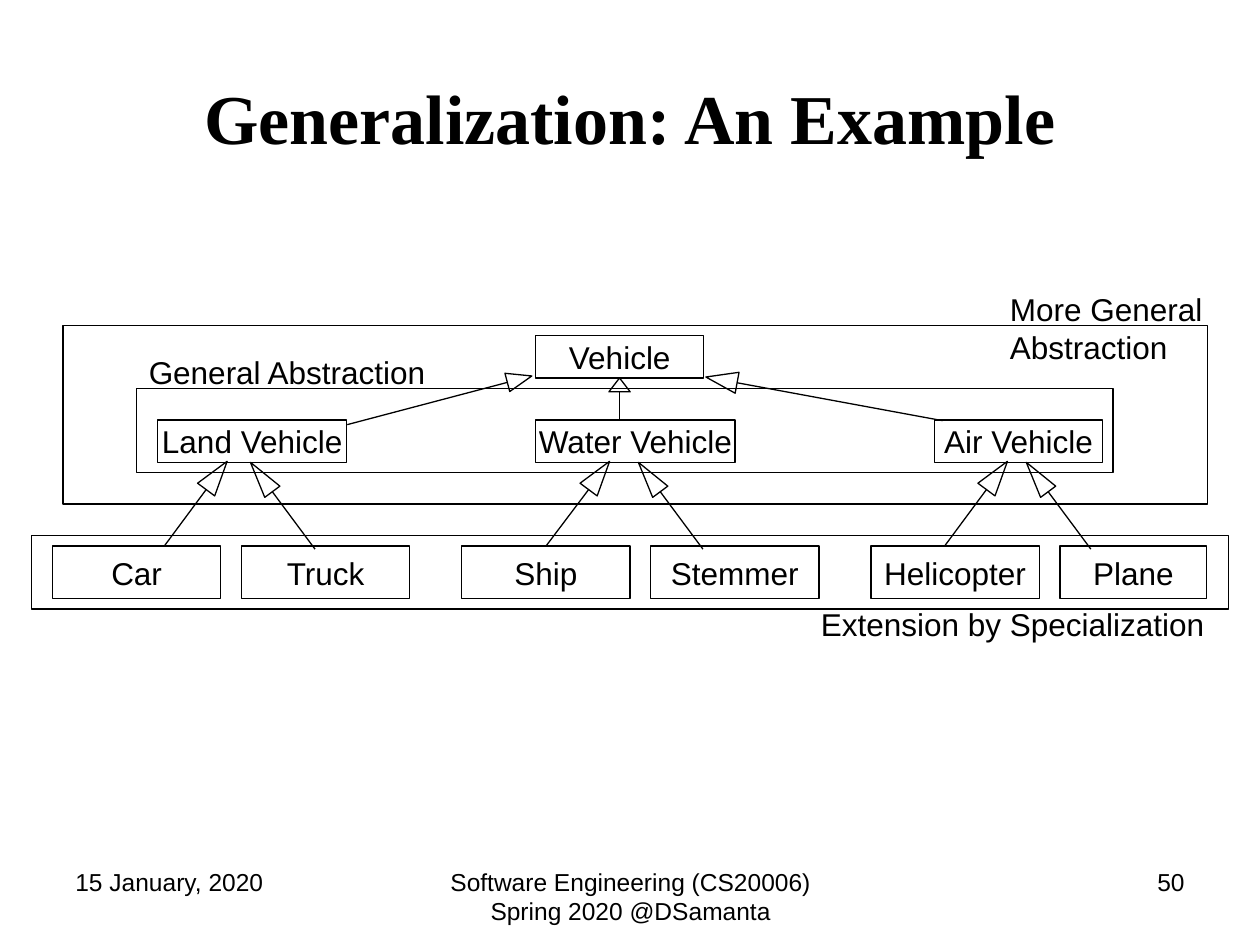
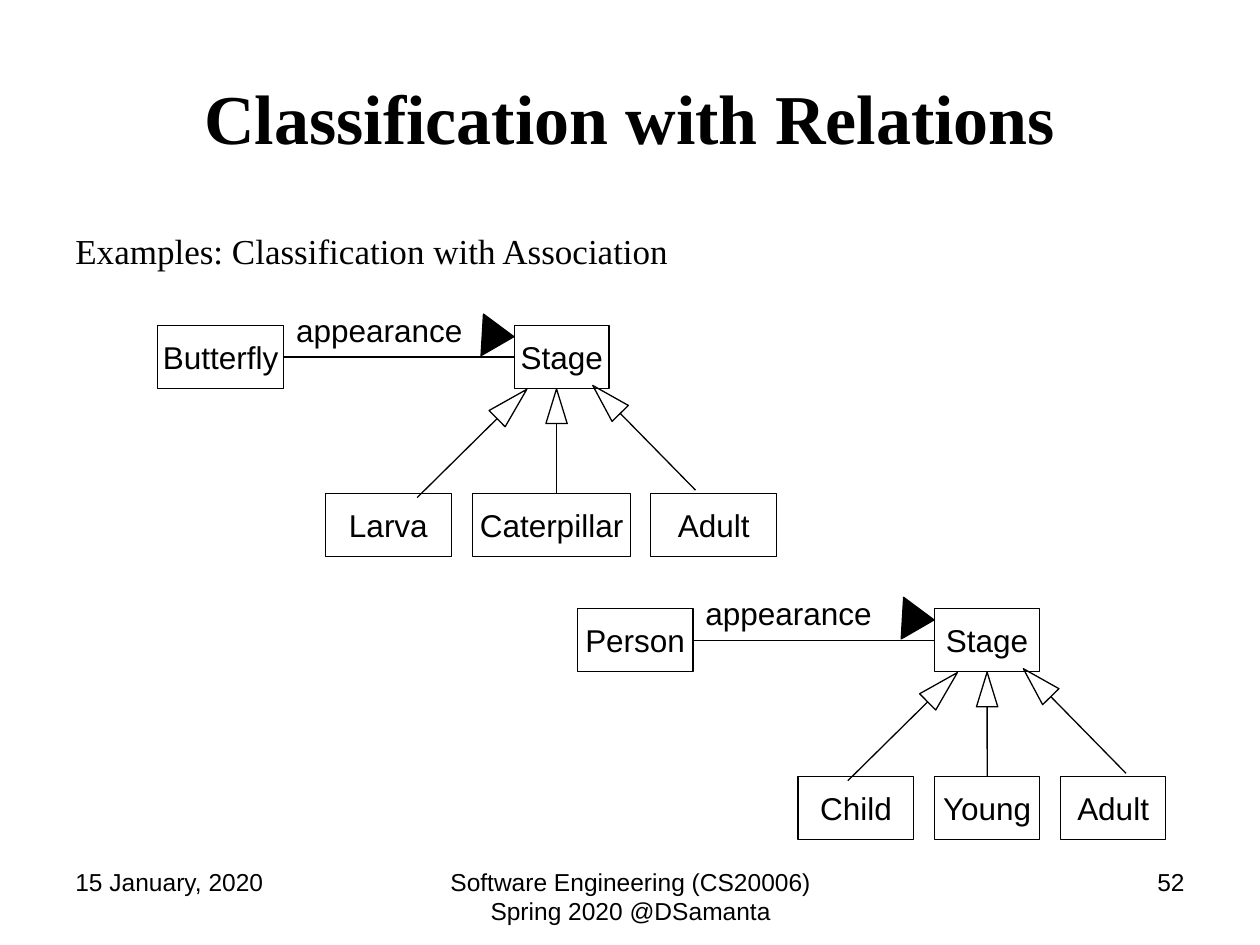
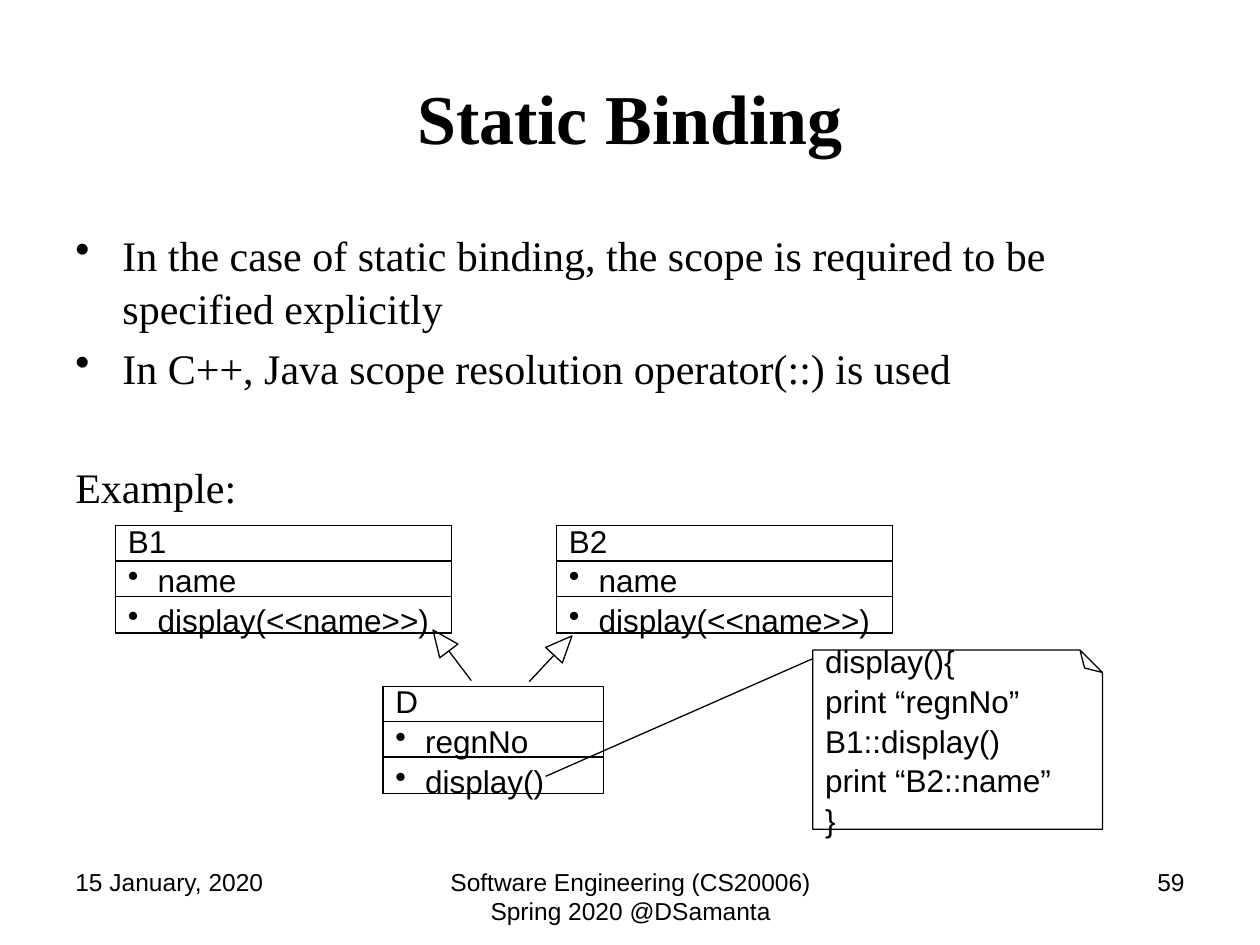
"""Build three lecture slides on class hierarchies and static binding."""
from dataclasses import dataclass
from math import atan2, cos, degrees, sin

from lxml.etree import SubElement
from pptx import Presentation
from pptx.dml.color import RGBColor as Rgb
from pptx.enum.shapes import MSO_CONNECTOR as Link, MSO_SHAPE as Kind
from pptx.enum.text import MSO_ANCHOR as Anchor, PP_ALIGN as Align
from pptx.oxml.ns import qn
from pptx.util import Cm, Pt


@dataclass(frozen=True)
class Theme:
    ink: Rgb = Rgb(0, 0, 0)
    stroke: Pt = Pt(0.75)
    title: tuple = ("Times New Roman", 40)
    lead: tuple = ("Times New Roman", 20)
    body: tuple = ("Times New Roman", 24)
    label: tuple = ("Arial", 18)
    footer: tuple = ("Arial", 14)


theme = Theme()


def add_block(page, place, lines=(), kind=None, face=theme.label, bold=False,
              indent=0.6, wrap=False, anchor=Anchor.MIDDLE, **formats):
    area = [Cm(length) for length in place]
    if kind is None:
        block = page.shapes.add_textbox(*area)
    else:
        block = page.shapes.add_shape(kind, *area)
        block.shadow.inherit = False
        block.fill.background()
        block.line.color.rgb = theme.ink
        block.line.width = theme.stroke
    frame = block.text_frame
    frame.word_wrap, frame.vertical_anchor = wrap, anchor
    for index, line in enumerate(lines):
        para = frame.add_paragraph() if index else frame.paragraphs[0]
        if line.startswith("•"):
            properties = para._p.get_or_add_pPr()
            properties.set("marL", str(Cm(indent)))
            properties.set("indent", str(-Cm(indent)))
            SubElement(properties, qn("a:buChar")).set("char", "•")
        for name, value in formats.items():
            setattr(para, name, value)
        span = para.add_run()
        span.text = line.removeprefix("• ")
        font_values = {"name": face[0], "size": Pt(face[1]), "bold": bold}
        for name, value in font_values.items():
            setattr(span.font, name, value)
        span.font.color.rgb = theme.ink
    return block


def add_line(page, start, end, head=None, child=None):
    (x, y), (tip_x, tip_y) = start, end
    if head:
        width, height = head
        angle = atan2(tip_x - x, y - tip_y)
        step_x, step_y = height * sin(angle), -height * cos(angle)
        place = (tip_x - step_x / 2 - width / 2, tip_y - step_y / 2 - height / 2, width, height)
        triangle = add_block(page, place, kind=Kind.FLOWCHART_EXTRACT)
        triangle.rotation = degrees(angle) % 360
        tip_x, tip_y = tip_x - step_x, tip_y - step_y
    line = page.shapes.add_connector(Link.STRAIGHT, Cm(x), Cm(y), Cm(tip_x), Cm(tip_y))
    line.line.color.rgb = theme.ink
    line.line.width = theme.stroke
    SubElement(line.element.spPr, qn("a:effectLst"))
    if child is not None:
        line.begin_connect(child, 0)
    return line


deck = Presentation()
deck.slide_width, deck.slide_height = Cm(25.4), Cm(19.05)

pages = []
for title, number in (
    ("Generalization: An Example", "50"),
    ("Classification with Relations", "52"),
    ("Static Binding", "59"),
):
    page = deck.slides.add_slide(deck.slide_layouts[6])
    add_block(page, (1.27, 0.76, 22.86, 3.18), [title], face=theme.title, bold=True,
              wrap=True, alignment=Align.CENTER)
    for left, width, text, side in (
        (1.27, 5.92, "15 January, 2020", Align.LEFT),
        (8.69, 8.05, "Software Engineering (CS20006) Spring 2020 @DSamanta", Align.CENTER),
        (18.21, 5.92, number, Align.RIGHT),
    ):
        add_block(page, (left, 17.35, width, 1.32), [text], face=theme.footer,
                  wrap=True, anchor=Anchor.TOP, alignment=side)
    pages.append(page)
vehicle_page, relation_page, binding_page = pages

vehicles = {
    "Vehicle": (10.8, 6.77, 3.39, 0.85),
    "Land Vehicle": (3.18, 8.47, 3.81, 0.85),
    "Water Vehicle": (10.8, 8.47, 4.02, 0.85),
    "Air Vehicle": (18.84, 8.47, 3.39, 0.85),
}
extensions = (("Car", "Truck"), ("Ship", "Stemmer"), ("Helicopter", "Plane"))
for column, pair in enumerate(extensions):
    for side, name in enumerate(pair):
        width = 2.96 if name == "Plane" else 3.39
        vehicles[name] = (1.06 + 8.25 * column + 3.81 * side, 11.01, width, 1.06)
vehicle_boxes = {
    name: add_block(vehicle_page, place, [name], Kind.RECTANGLE, alignment=Align.CENTER)
    for name, place in vehicles.items()
}
for frame_place in (
    (1.27, 6.56, 23.07, 3.6),
    (2.75, 7.83, 19.69, 1.69),
    (0.64, 10.8, 24.13, 1.48),
):
    add_block(vehicle_page, frame_place, kind=Kind.RECTANGLE)
for pair, left_tip, right_tip in zip(extensions, (4.58, 12.29, 20.31), (5.05, 12.87, 20.69)):
    joined = vehicle_boxes["Ship"] if "Ship" in pair else None
    add_line(vehicle_page, (left_tip - 1.27, 11.01), (left_tip, 9.3), (0.43, 0.71), joined)
    add_line(vehicle_page, (right_tip + 1.3, 11.07), (right_tip, 9.32), (0.38, 0.74))
for start, tip, head in (
    ((12.49, 8.47), (12.49, 7.62), (0.43, 0.28)),
    ((19, 8.48), (14.23, 7.6), (0.43, 0.64)),
    ((7, 8.56), (10.72, 7.58), (0.38, 0.51)),
):
    add_line(vehicle_page, start, tip, head)
for text, place in (
    ("Extension by Specialization", (16.3, 12.07, 8.23, 1.02)),
    ("General Abstraction", (2.75, 6.99, 6.12, 1.02)),
    ("More General Abstraction", (20.11, 5.72, 4.65, 1.78)),
):
    add_block(vehicle_page, place, [text], wrap=text.startswith("More"), anchor=Anchor.TOP)

add_block(relation_page, (1.27, 4.45, 22.86, 12.57), ["Examples: Classification with Association"],
          face=theme.lead, wrap=True, anchor=Anchor.TOP, alignment=Align.JUSTIFY, line_spacing=1.05)
families = (
    (0, 0, ("Butterfly", 3.18, 2.54), ("Stage", 10.37, 1.91),
     (("Larva", 6.56, 2.54), ("Caterpillar", 9.53, 3.18), ("Adult", 13.12, 2.54))),
    (8.68, 5.71, ("Person", 11.64, 2.33), ("Stage", 18.84, 2.12),
     (("Child", 16.09, 2.33), ("Young", 18.84, 2.12), ("Adult", 21.38, 2.12))),
)
for shift, drop, owner, stage, children in families:
    boxes = [
        add_block(relation_page, (left, top + drop, width, 1.27), [name], Kind.RECTANGLE,
                  alignment=Align.CENTER)
        for top, row in ((6.56, (owner, stage)), (9.95, children))
        for name, left, width in row
    ]
    owner_right, middle = owner[1] + owner[2], 7.2 + drop
    association = add_line(relation_page, (owner_right, middle), (stage[1], middle))
    association.begin_connect(boxes[0], 3)
    association.end_connect(boxes[1], 1)
    for start, tip, head in (
        ((11.22, 9.95), (11.22, 7.84), (0.43, 0.7)),
        ((14.02, 9.88), (11.95, 7.77), (0.46, 0.79)),
        ((8.41, 10.03), (10.62, 7.85), (0.46, 0.84)),
    ):
        joined = boxes[3] if children[1][0] == "Young" and start[0] == tip[0] else None
        add_line(relation_page, (start[0] + shift, start[1] + drop),
                 (tip[0] + shift, tip[1] + drop), head, joined)
    pointer = add_block(relation_page, (stage[1] - 0.75, 6.45 + drop, 0.84, 0.64),
                        kind=Kind.FLOWCHART_EXTRACT)
    pointer.rotation = 93.3
    pointer.fill.solid()
    pointer.fill.fore_color.rgb = theme.ink
    add_block(relation_page, (owner_right, 6.15 + drop, 3.86, 1.02), ["appearance"],
              anchor=Anchor.TOP)

points = add_block(binding_page, (1.27, 4.45, 22.86, 12.57), [
    "• In the case of static binding, the scope is required to be specified explicitly",
    "• In C++, Java scope resolution operator(::) is used",
    "Example:",
], face=theme.body, indent=0.95, wrap=True, anchor=Anchor.TOP, line_spacing=1.05)
for para, gap in zip(points.text_frame.paragraphs[1:], (4, 38)):
    para.space_before = Pt(gap)
for name, left, top, width, members in (
    ("B1", 2.33, 10.6, 6.77, ("• name", "• display(<<name>>)")),
    ("B2", 11.22, 10.6, 6.77, ("• name", "• display(<<name>>)")),
    ("D", 7.72, 13.84, 4.45, ("• regnNo", "• display()")),
):
    add_block(binding_page, (left, top, width, 2.16), [name, *members], Kind.RECTANGLE,
              wrap=True, alignment=Align.LEFT, line_spacing=1.05)
    for row in (1, 2):
        divider = top + 0.71 * row
        add_line(binding_page, (left, divider), (left + width, divider))
note = add_block(binding_page, (17.5, 11.99, 3.61, 5.84),
                 ["display(){", "print “regnNo”", "B1::display()", "print “B2::name”", "}"],
                 Kind.FOLDED_CORNER, wrap=True, alignment=Align.LEFT, line_spacing=1.05)
note.rotation = 270
fold = next(note.element.iter(qn("a:avLst")))
SubElement(fold, qn("a:gd"), name="adj", fmla="val 12500")
note.element.txBody.bodyPr.set("vert", "eaVert")
add_line(binding_page, (10.67, 13.74), (11.53, 12.82), (0.46, 0.53))
add_line(binding_page, (9.5, 13.72), (8.73, 12.7), (0.46, 0.53))
add_line(binding_page, (11, 15.65), (16.38, 13.28))

deck.save("out.pptx")
